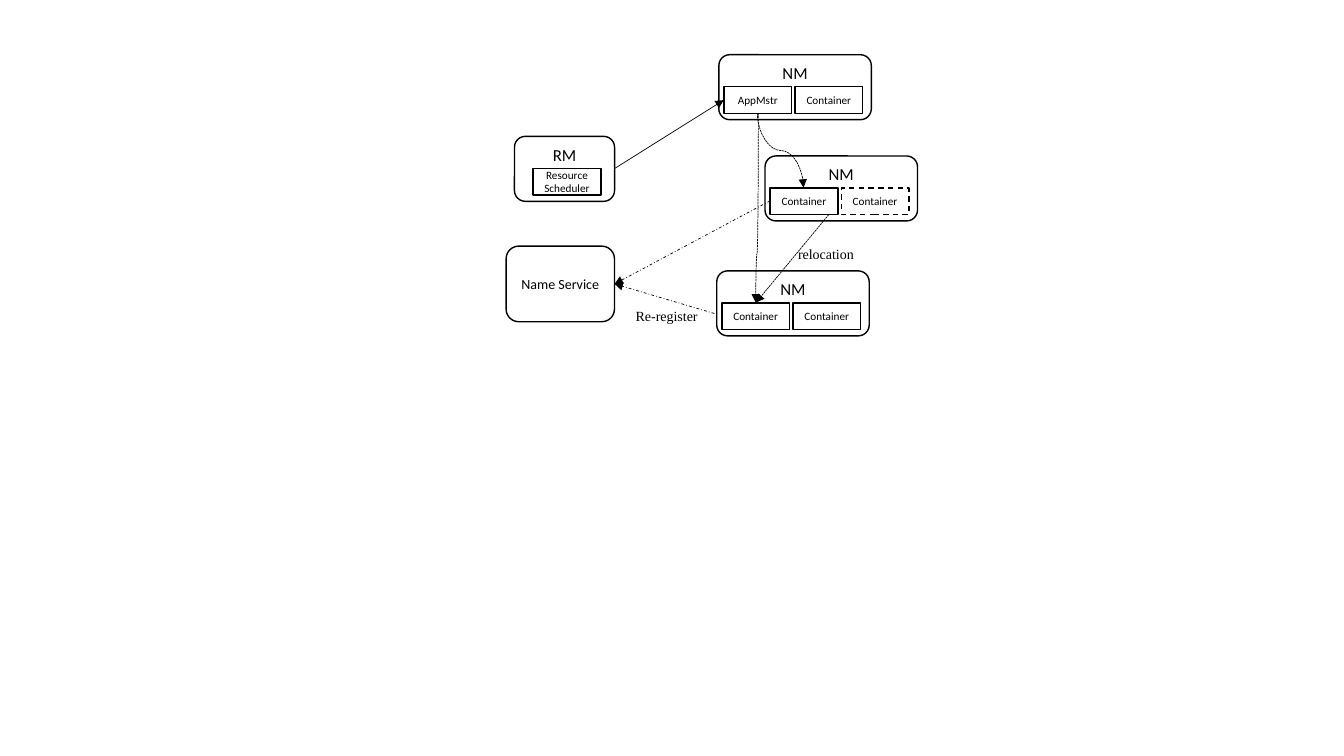
from dataclasses import dataclass

from lxml import etree
from pptx import Presentation
from pptx import util as u
from pptx.dml.color import RGBColor
from pptx.enum import dml, shapes, text
from pptx.oxml.ns import qn

BLACK, WHITE = "000000", "FFFFFF"
HOST_WIDTH, HOST_HEIGHT = 108.9, 46.4
SLOT_WIDTH, SLOT_HEIGHT, SLOT_PITCH = 48.4, 19, 50.8
SLOT_LEFT, SLOT_TOP = 3.6, 22.9
DASH = dml.MSO_LINE


@dataclass
class Box:
    label: str
    left: float
    top: float
    width: float
    height: float
    size: float
    rounded: bool = True
    middle: bool = True
    dashed: bool = False


@dataclass
class Host:
    left: float
    top: float
    slots: tuple[str, str]
    spare: bool = False  # the second slot is drawn dashed


@dataclass
class Arrow:
    start: tuple[float, float]
    end: tuple[float, float]
    dash: DASH | None = None
    bend: float | None = None  # share of the way down where a curve turns


@dataclass
class Label:
    words: str
    left: float
    top: float


def colour(value: str) -> RGBColor:
    return RGBColor.from_string(value)


def write(frame, words: str, size: float, font: str, align) -> None:
    para = frame.paragraphs[0]
    para.text = words
    para.alignment = align
    para.font.size = u.Pt(size)
    para.font.name = font
    para.font.color.rgb = colour(BLACK)


def draw_box(page, item: Box) -> None:
    kind = shapes.MSO_SHAPE.ROUNDED_RECTANGLE if item.rounded else shapes.MSO_SHAPE.RECTANGLE
    box = page.shapes.add_shape(kind, u.Pt(item.left), u.Pt(item.top),
                                u.Pt(item.width), u.Pt(item.height))
    box.shadow.inherit = False
    box.fill.solid()
    box.fill.fore_color.rgb = colour(WHITE)
    box.line.color.rgb = colour(BLACK)
    box.line.width = u.Pt(1)
    if item.dashed:
        box.line.dash_style = DASH.DASH
    frame = box.text_frame
    frame.word_wrap = True
    frame.vertical_anchor = text.MSO_ANCHOR.MIDDLE if item.middle else text.MSO_ANCHOR.TOP
    if not item.rounded:
        frame.margin_left = frame.margin_right = u.Pt(0)
        frame.margin_top = frame.margin_bottom = u.Pt(0)
    write(frame, item.label, item.size, "Calibri", text.PP_ALIGN.CENTER)


def draw_slot(page, label: str, left: float, top: float, dashed: bool = False) -> None:
    draw_box(page, Box(label, left, top, SLOT_WIDTH, SLOT_HEIGHT, 8,
                       rounded=False, dashed=dashed))


def draw_host(page, host: Host) -> None:
    draw_box(page, Box("NM", host.left, host.top, HOST_WIDTH, HOST_HEIGHT, 12, middle=False))
    for index, label in enumerate(host.slots):
        draw_slot(page, label, host.left + SLOT_LEFT + index * SLOT_PITCH,
                  host.top + SLOT_TOP, host.spare and index == 1)


def draw_arrow(page, arrow: Arrow) -> None:
    (x1, y1), (x2, y2) = arrow.start, arrow.end
    curved = arrow.bend is not None
    kind = shapes.MSO_CONNECTOR.CURVE if curved else shapes.MSO_CONNECTOR.STRAIGHT
    if curved:
        # A curve that leaves downwards is a horizontal one, turned about its centre
        rightward = x2 > x1
        middle_x, middle_y = (x1 + x2) / 2, (y1 + y2) / 2
        half_long, half_short = abs(y2 - y1) / 2, abs(x2 - x1) / 2
        x1, x2 = middle_x - half_long, middle_x + half_long
        y1, y2 = middle_y - half_short, middle_y + half_short
    line = page.shapes.add_connector(kind, u.Pt(x1), u.Pt(y1), u.Pt(x2), u.Pt(y2))
    line.line.color.rgb = colour(BLACK)
    line.line.width = u.Pt(0.5)
    if arrow.dash is not None:
        line.line.dash_style = arrow.dash
    properties = line._element.spPr
    etree.SubElement(properties.find(qn("a:ln")), qn("a:tailEnd"), type="triangle")
    etree.SubElement(properties, qn("a:effectLst"))
    if curved:
        transform = properties.find(qn("a:xfrm"))
        transform.set("rot", str((270 if rightward else 90) * 60000))
        if rightward:
            transform.set("flipH", "1")
        geometry = properties.find(qn("a:prstGeom"))
        guides = geometry.find(qn("a:avLst"))
        if guides is None:
            guides = etree.SubElement(geometry, qn("a:avLst"))
        etree.SubElement(guides, qn("a:gd"), name="adj1",
                         fmla=f"val {round(arrow.bend * 100000)}")


def draw_label(page, label: Label) -> None:
    box = page.shapes.add_textbox(u.Pt(label.left), u.Pt(label.top), u.Pt(62.6), u.Pt(19.4))
    box.text_frame.word_wrap = True
    write(box.text_frame, label.words, 10, "Times New Roman", text.PP_ALIGN.LEFT)


MANAGER = Box("RM", 367.5, 97.4, 71.5, HOST_HEIGHT, 12, middle=False)
NAME_SERVICE = Box("Name Service", 361.5, 175.8, 77.4, 54, 10)
UPPER_HOSTS = [
    Host(546.5, 111.4, ("Container", "Container"), spare=True),
    Host(513.5, 39.1, ("AppMstr", "Container")),
]
LOWER_HOST = Host(512, 193.5, ("Container", "Container"))
ARROWS_BEHIND = [
    Arrow((439, 120.4), (517, 71.5)),
    Arrow((541, 81), (574, 134), DASH.SQUARE_DOT, bend=0.5),
    Arrow((550, 143.5), (439, 202.8), DASH.DASH_DOT),
    Arrow((515.6, 225.5), (439, 202.8), DASH.DASH_DOT),
]
ARROWS_IN_FRONT = [
    Arrow((592, 153.3), (540, 216.1), DASH.SQUARE_DOT),
    Arrow((541.7, 81), (539.8, 216.1), DASH.SQUARE_DOT, bend=0.74),
]
LABELS = [Label("relocation", 563, 171.7), Label("Re-register", 447, 216.1)]


def main() -> None:
    deck = Presentation()
    deck.slide_width, deck.slide_height = u.Pt(960), u.Pt(540)
    page = deck.slides.add_slide(deck.slide_layouts[6])

    # Resource manager, upper hosts and name service
    draw_box(page, MANAGER)
    draw_slot(page, "Resource Scheduler", 380.8, 120.3)
    for host in UPPER_HOSTS:
        draw_host(page, host)
    draw_box(page, NAME_SERVICE)

    # The lower host covers the end of the re-register arrow
    for arrow in ARROWS_BEHIND:
        draw_arrow(page, arrow)
    draw_host(page, LOWER_HOST)

    # Relocation arrows and labels
    for arrow in ARROWS_IN_FRONT:
        draw_arrow(page, arrow)
    for label in LABELS:
        draw_label(page, label)

    deck.save("out.pptx")


if __name__ == "__main__":
    main()
